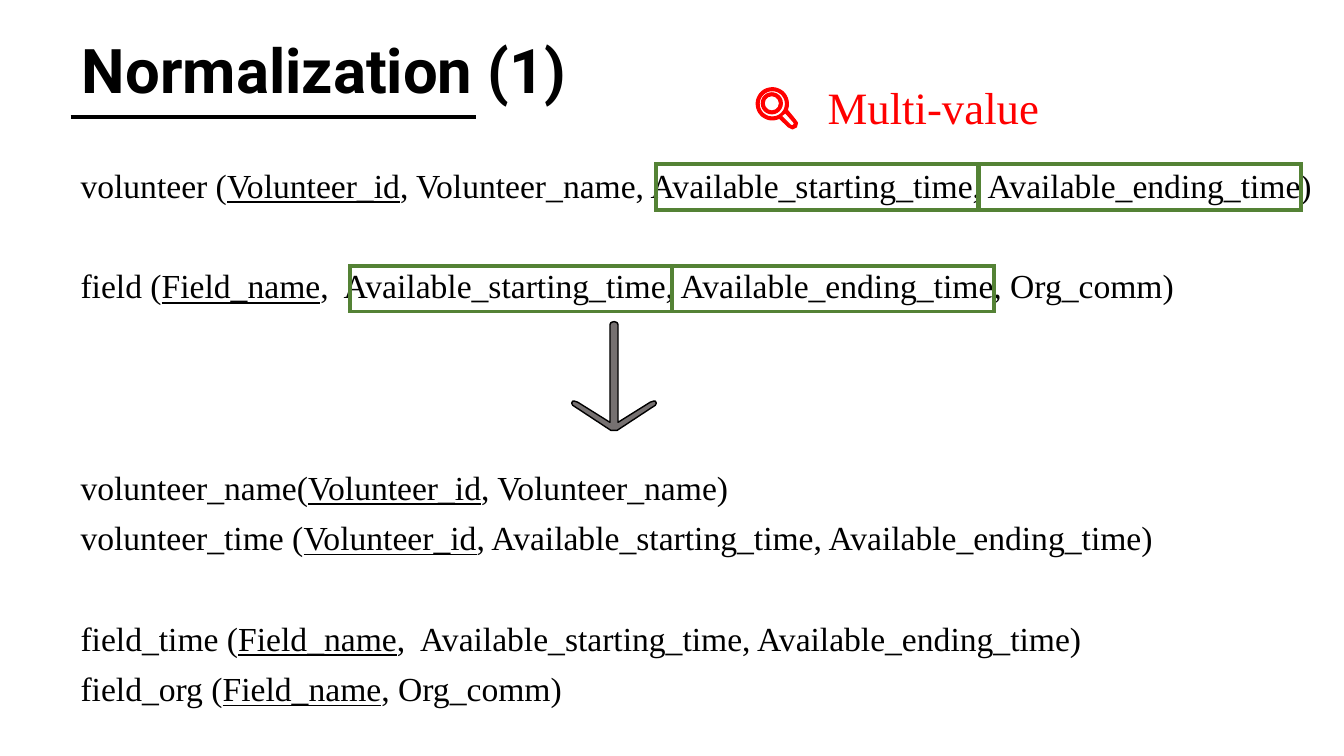
from dataclasses import dataclass
from math import cos, radians, sin

from pptx import Presentation
from pptx.dml.color import RGBColor
from pptx.enum.shapes import MSO_CONNECTOR, MSO_SHAPE
from pptx.enum.text import MSO_ANCHOR, MSO_AUTO_SIZE, PP_ALIGN
from pptx.oxml.ns import qn
from pptx.util import Inches, Pt

STRAIGHT = MSO_CONNECTOR.STRAIGHT
RECTANGLE, DONUT = MSO_SHAPE.RECTANGLE, MSO_SHAPE.DONUT
TOP, CENTER = MSO_ANCHOR.TOP, PP_ALIGN.CENTER
NO_FIT = MSO_AUTO_SIZE.NONE


@dataclass(frozen=True)
class Theme:
    ink: RGBColor = RGBColor(0x00, 0x00, 0x00)
    red: RGBColor = RGBColor(0xFF, 0x00, 0x00)
    green: RGBColor = RGBColor(0x54, 0x82, 0x35)
    gray: RGBColor = RGBColor(0x76, 0x71, 0x71)
    title_font: str = "Roboto"
    body_font: str = "Times New Roman"
    title_size: Pt = Pt(44)
    label_size: Pt = Pt(32)
    body_size: Pt = Pt(24)


theme = Theme()


def style_shape(shape, fill, line, width):
    shape.shadow.inherit = False
    if fill is None:
        shape.fill.background()
    else:
        shape.fill.solid()
        shape.fill.fore_color.rgb = fill
    shape.line.color.rgb = line
    shape.line.width = Pt(width)


def style_font(font, name, size, color):
    font.name = name
    font.size = size
    font.color.rgb = color


deck = Presentation()
deck.slide_width, deck.slide_height = Inches(13.33), Inches(7.5)
page = deck.slides.add_slide(deck.slide_layouts[5])

# Title
title = page.shapes.title
title.left, title.top = Inches(0.59), Inches(0.27)
title.width, title.height = Inches(5.26), Inches(0.84)
title.text_frame.text = "Normalization (1)"
title.text_frame.auto_size = NO_FIT
title.text_frame.vertical_anchor = TOP
para = title.text_frame.paragraphs[0]
para.alignment = CENTER
style_font(para.font, theme.title_font, theme.title_size, theme.ink)
para.font.bold = True

# Rule under the title
rule = page.shapes.add_connector(
    STRAIGHT, Inches(0.7), Inches(1.16), Inches(4.72), Inches(1.16))
rule.line.color.rgb = theme.ink
rule.line.width = Pt(3)
properties = rule._element.spPr
properties.append(properties.makeelement(qn("a:effectLst"), {}))

# Relations: space before, name, key, other attributes
times = "Available_starting_time, Available_ending_time"
relations = [
    (0, "volunteer (", "Volunteer_id", f", Volunteer_name, {times})"),
    (46, "field (", "Field_name", f",  {times}, Org_comm)"),
    (118, "volunteer_name(", "Volunteer_id", ", Volunteer_name)"),
    (10, "volunteer_time (", "Volunteer_id", f", {times})"),
    (46, "field_time (", "Field_name", f",  {times})"),
    (10, "field_org (", "Field_name", ", Org_comm)"),
]
box = page.shapes.add_textbox(Inches(0.7), Inches(1.63), Inches(12.42), Inches(5.8))
frame = box.text_frame
frame.word_wrap = True
for index, (gap, name, key, rest) in enumerate(relations):
    para = frame.paragraphs[0] if index == 0 else frame.add_paragraph()
    para.space_before = Pt(gap)
    para.line_spacing = 0.9
    style_font(para.font, theme.body_font, theme.body_size, theme.ink)
    for text in (name, key, rest):
        span = para.add_run()
        span.text = text
        if text == key:
            span.font.underline = True

# Frames with sharp corners around the multi-value attributes
for left, top in ((6.51, 1.63), (3.47, 2.64)):
    for column in range(2):
        marker = page.shapes.add_shape(
            RECTANGLE, Inches(left + 3.2 * column), Inches(top),
            Inches(3.19), Inches(0.45))
        style_shape(marker, None, theme.green, 2.75)
        outline = marker.line._ln
        outline.append(outline.makeelement(qn("a:miter"), {"lim": "800000"}))

# Multi-value label
label = page.shapes.add_textbox(Inches(8.11), Inches(0.74), Inches(4.23), Inches(0.64))
label.text_frame.word_wrap = True
label.text_frame.text = "Multi-value"
para = label.text_frame.paragraphs[0]
style_font(para.font, theme.body_font, theme.label_size, theme.red)

# Magnifier and down arrow are drawn in thousandths of an inch
unit = Inches(1) / 1000

# Magnifier: rim with handle, the openings in both, and the lens
lens_x, lens_y = 7660, 1030
rim, opening = (
    [(lens_x + radius * cos(radians(angle)), lens_y + radius * sin(radians(angle)))
     for angle in range(start, end, 6)]
    for radius, start, end in ((160, 64, 388), (130, 0, 360)))
handle = [(7890, 1190), (7910, 1220), (7900, 1260), (7860, 1280), (7820, 1260)]
slot = [(7790, 1120), (7870, 1210), (7880, 1230), (7860, 1250), (7840, 1240), (7750, 1150)]
contours = [rim + handle, opening, slot]
builder = page.shapes.build_freeform(*contours[0][0], scale=unit)
builder.add_line_segments(contours[0][1:], close=True)
for contour in contours[1:]:
    builder.move_to(*contour[0])
    builder.add_line_segments(contour[1:], close=True)
magnifier = builder.convert_to_shape()
lens = page.shapes.add_shape(
    DONUT, Inches(7.55), Inches(0.92), Inches(0.21), Inches(0.21))
lens.adjustments[0] = 0.14
for part in (magnifier, lens):
    style_shape(part, theme.red, theme.red, 0.75)

# Down arrow, mirrored about its shaft
axis = 6090
half = [(0, 4270), (30, 4270), (410, 4020), (420, 4000), (410, 3980), (390, 3980),
        (360, 3990), (40, 4190), (40, 3220), (30, 3200), (0, 3190)]
corners = [(axis + x, y) for x, y in half] + [(axis - x, y) for x, y in half[-2:0:-1]]
builder = page.shapes.build_freeform(*corners[0], scale=unit)
builder.add_line_segments(corners[1:], close=True)
style_shape(builder.convert_to_shape(), theme.gray, theme.ink, 1)

deck.save("out.pptx")
